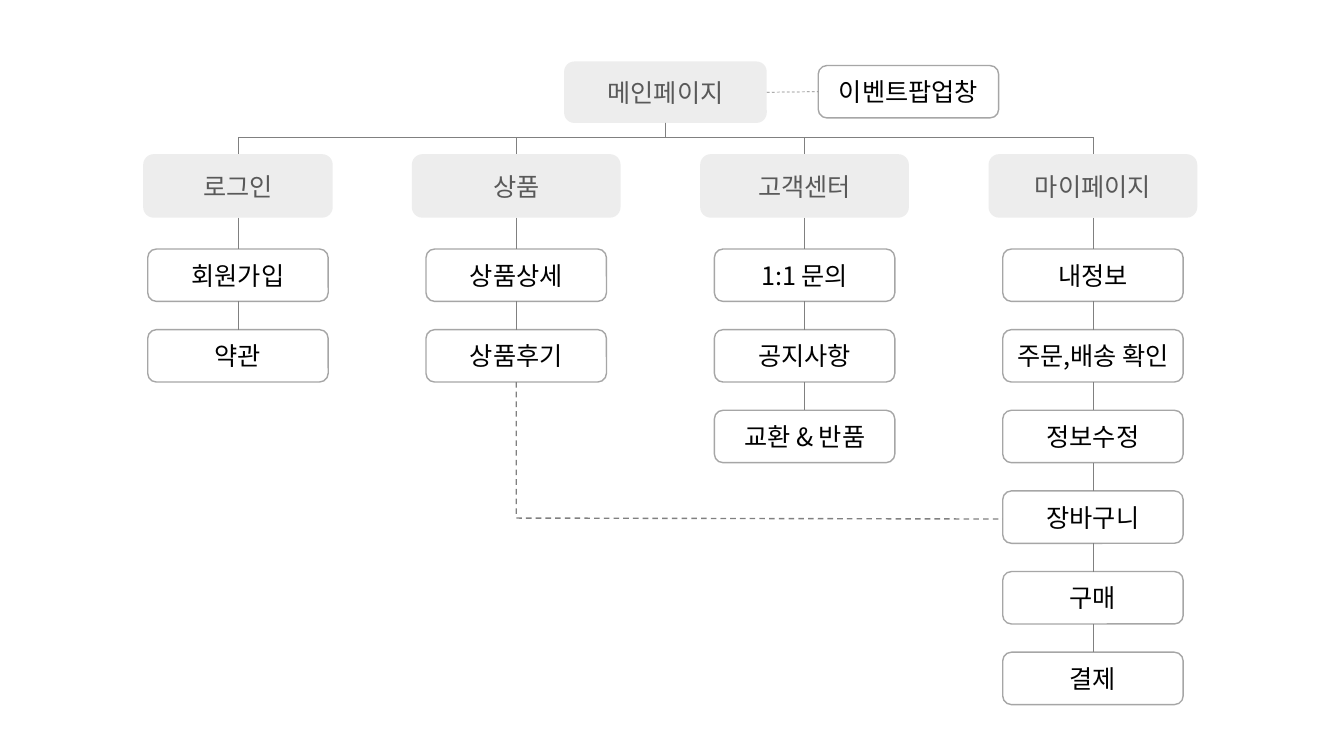
from lxml import etree
from pptx import Presentation
from pptx import util as u
from pptx.dml.color import RGBColor
from pptx.enum import dml, shapes, text
from pptx.oxml.ns import qn

TOP, LEFT, BOTTOM = 0, 1, 2
RIGHT = 3

BUS_Y = 1.36
SECTION_Y, SECTION_H = 1.53, 0.63
PAGE_Y, PAGE_PITCH = 2.47, 0.8
PAGE_W, PAGE_H = 1.79, 0.52

# centre x, section width, section name, pages below it
SECTIONS = [
    (2.36, 1.88, "로그인", ["회원가입", "약관"]),
    (5.12, 2.07, "상품", ["상품상세", "상품후기"]),
    (7.98, 2.07, "고객센터", ["1:1 문의", "공지사항", "교환 & 반품"]),
    (10.84, 2.07, "마이페이지",
     ["내정보", "주문,배송 확인", "정보수정", "장바구니", "구매", "결제"]),
]


def rgb(value):
    return RGBColor.from_string(value)


class SiteMap:
    font = "Noto Sans CJK KR"
    size = 18
    line_color = "808080"

    def __init__(self, slide):
        self.slide = slide

    def box(self, label, center_x, top, width, height, fill, color, border=None):
        box = self.slide.shapes.add_shape(
            shapes.MSO_SHAPE.ROUNDED_RECTANGLE, u.Inches(center_x - width / 2),
            u.Inches(top), u.Inches(width), u.Inches(height))
        box.shadow.inherit = False
        box.fill.solid()
        box.fill.fore_color.rgb = rgb(fill)
        if border:
            box.line.color.rgb = rgb(border)
            box.line.width = u.Pt(1)
        else:
            box.line.fill.background()
        frame = box.text_frame
        frame.word_wrap = True
        frame.vertical_anchor = text.MSO_ANCHOR.MIDDLE
        paragraph = frame.paragraphs[0]
        paragraph.text = label
        paragraph.alignment = text.PP_ALIGN.CENTER
        font = paragraph.font
        font.name, font.size = self.font, u.Pt(self.size)
        font.color.rgb = rgb(color)
        properties = paragraph._p.pPr.find(qn("a:defRPr"))
        etree.SubElement(properties, qn("a:ea"), typeface=self.font)
        return box

    def section(self, label, center_x, top, width, height):
        return self.box(label, center_x, top, width, height, "EDEDED", "595959")

    def page(self, label, center_x, top):
        return self.box(label, center_x, top, PAGE_W, PAGE_H,
                        "FFFFFF", "000000", "A6A6A6")

    def stroke(self, line, width, dashed):
        line.color.rgb = rgb(self.line_color)
        line.width = u.Pt(width)
        if dashed:
            line.dash_style = dml.MSO_LINE.DASH

    def link(self, start, end, dashed=False):
        """Join two ends, each an (x, y) point or a (box, side) pair."""
        link = self.slide.shapes.add_connector(
            shapes.MSO_CONNECTOR.STRAIGHT,
            *(u.Inches(n) if isinstance(n, float) else 0 for n in start + end))
        if not isinstance(start[0], float):
            link.begin_connect(*start)
        if not isinstance(end[0], float):
            link.end_connect(*end)
        self.stroke(link.line, 0.5, dashed)
        etree.SubElement(link._element.spPr, qn("a:effectLst"))

    def dashed_path(self, points):
        (first, *rest) = [(u.Inches(x), u.Inches(y)) for x, y in points]
        builder = self.slide.shapes.build_freeform(*first)
        builder.add_line_segments(rest, close=False)
        path = builder.convert_to_shape()
        path.shadow.inherit = False
        path.fill.background()
        self.stroke(path.line, 1, True)


def main():
    deck = Presentation()
    deck.slide_width, deck.slide_height = u.Inches(13.33), u.Inches(7.5)
    site = SiteMap(deck.slides.add_slide(deck.slide_layouts[6]))

    main_x = 6.6
    main_page = site.section("메인페이지", main_x, 0.61, 2.01, 0.61)
    popup = site.page("이벤트팝업창", 9.01, 0.65)
    site.link((main_page, RIGHT), (popup, LEFT), dashed=True)
    site.link((main_page, BOTTOM), (main_x, BUS_Y))
    for outer_x in (SECTIONS[0][0], SECTIONS[-1][0]):
        site.link((main_x, BUS_Y), (outer_x, BUS_Y))

    for center_x, width, name, pages in SECTIONS:
        above = site.section(name, center_x, SECTION_Y, width, SECTION_H)
        site.link((center_x, BUS_Y), (above, TOP))
        for row, label in enumerate(pages):
            page = site.page(label, center_x, PAGE_Y + row * PAGE_PITCH)
            site.link((above, BOTTOM), (page, TOP))
            above = page

    review_x, cart_x = SECTIONS[1][0], SECTIONS[3][0] - PAGE_W / 2
    site.dashed_path([(review_x, 3.79), (review_x, 5.14), (cart_x, 5.15)])
    deck.save("out.pptx")


if __name__ == "__main__":
    main()
